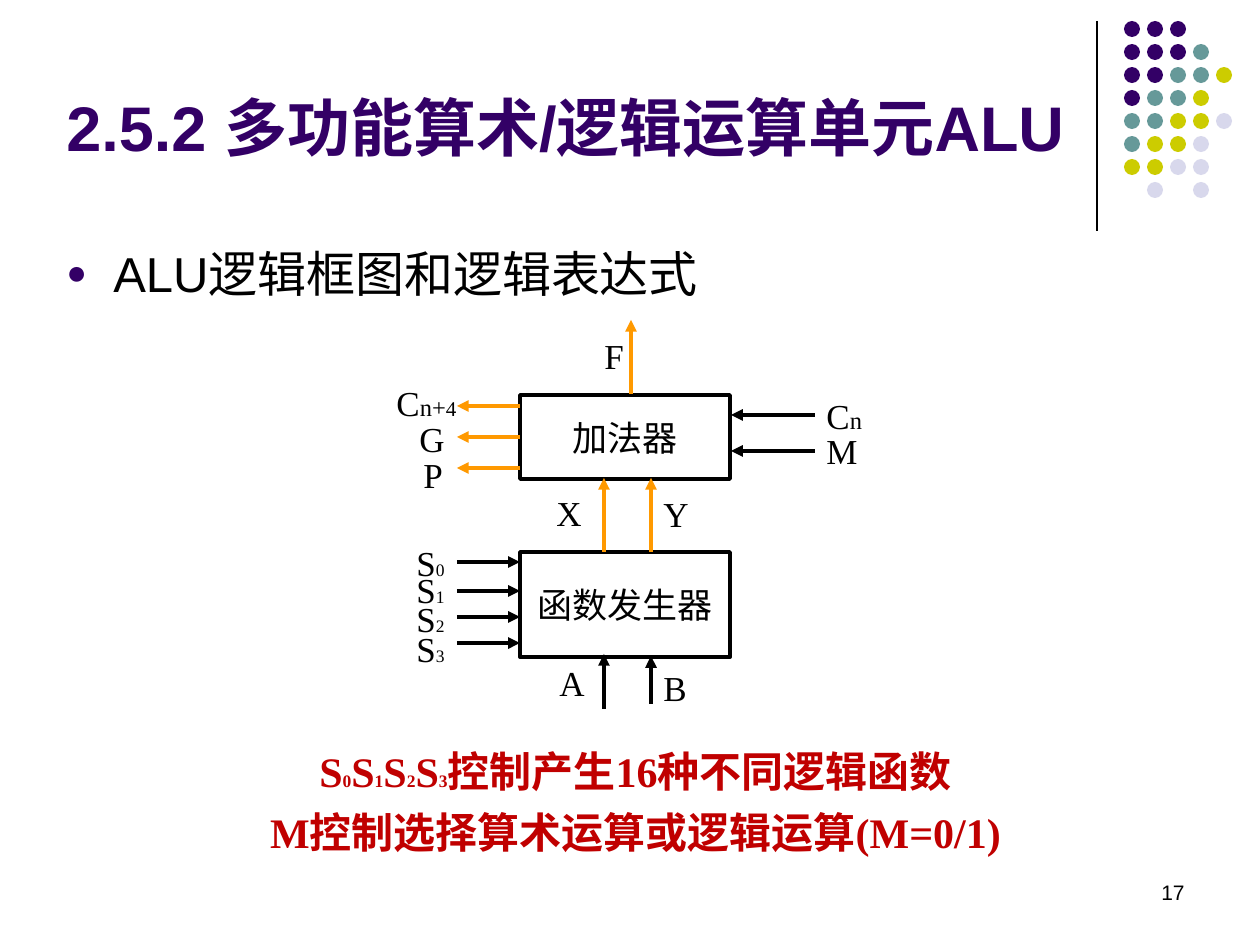
"""Build the slide on the block diagram and control signals of the multifunction ALU."""
from lxml.etree import SubElement
from pptx import Presentation
from pptx.dml.color import RGBColor
from pptx.enum.shapes import MSO_CONNECTOR, MSO_SHAPE
from pptx.enum.text import MSO_ANCHOR, PP_ALIGN
from pptx.oxml.ns import qn
from pptx.util import Emu, Pt

COLORS = {"black": "000000", "purple": "330066", "teal": "669999", "lime": "CCCC00",
          "lavender": "D8D8EC", "orange": "FF9900", "red": "C00000"}
DOT_COLORS = {"P": "purple", "T": "teal", "L": "lime", "V": "lavender"}
DOT_ROWS = ["PPP", "PPPT", "PPTTL", "PTTL", "TTLLV", "TLLV", "LLVV", " V V"]
ADDER_ROWS = [406, 437, 468]


def px(length):
    return Emu(round(length * 914400 / 126))


def rgb(color):
    return RGBColor.from_string(COLORS[color])


def add_bullet(paragraph, color, percent, indent):
    properties = paragraph._p.get_or_add_pPr()
    properties.set("marL", str(px(indent)))
    properties.set("indent", str(-px(indent)))
    bullet_color = SubElement(properties, qn("a:buClr"))
    SubElement(bullet_color, qn("a:srgbClr"), val=COLORS[color])
    SubElement(properties, qn("a:buSzPct"), val=str(percent * 1000))
    SubElement(properties, qn("a:buFont"), typeface="Arial")
    SubElement(properties, qn("a:buChar"), char="●")


def write(frame, text, *, size=20, font="Times New Roman", color="black", bold=False,
          align=PP_ALIGN.LEFT, anchor=MSO_ANCHOR.TOP, wrap=True, spacing=None,
          before=0, bullet=False):
    """Fill a frame with paragraphs; a paragraph is a string or (string, size) pairs."""
    frame.word_wrap = wrap
    frame.vertical_anchor = anchor
    for index, content in enumerate(text if isinstance(text, list) else [text]):
        paragraph = frame.paragraphs[0] if index == 0 else frame.add_paragraph()
        if bullet:
            add_bullet(paragraph, "purple", 70, 47)
        paragraph.alignment = align
        if spacing:
            paragraph.line_spacing = spacing
        if index and before:
            paragraph.space_before = Pt(before)
        pieces = [(content, size)] if isinstance(content, str) else content
        for words, points in pieces:
            run = paragraph.add_run()
            run.text = words
            run.font.name = font
            run.font.size = Pt(points)
            run.font.bold = bold
            run.font.color.rgb = rgb(color)


class SlideBuilder:
    """Hold the style and the current slide, and add each kind of element."""

    line_width = 2.25

    def __init__(self, slide):
        self.slide = slide

    def text(self, left, top, width, height, content, **style):
        box = self.slide.shapes.add_textbox(*map(px, (left, top, width, height)))
        write(box.text_frame, content, **style)

    def dot(self, left, top, size, color):
        dot = self.slide.shapes.add_shape(
            MSO_SHAPE.OVAL, *map(px, (left, top, size, size)))
        dot.shadow.inherit = False
        dot.fill.solid()
        dot.fill.fore_color.rgb = rgb(color)
        dot.line.fill.background()

    def block(self, left, top, width, height, label):
        block = self.slide.shapes.add_shape(
            MSO_SHAPE.RECTANGLE, *map(px, (left, top, width, height)))
        block.shadow.inherit = False
        block.fill.background()
        block.line.color.rgb = rgb("black")
        block.line.width = Pt(self.line_width)
        write(block.text_frame, label, align=PP_ALIGN.CENTER,
              anchor=MSO_ANCHOR.MIDDLE, wrap=False)
        return block

    def line(self, start, end, color="black", width=line_width, arrow=True):
        line = self.slide.shapes.add_connector(
            MSO_CONNECTOR.STRAIGHT, *map(px, (*start, *end)))
        line.line.color.rgb = rgb(color)
        line.line.width = Pt(width)
        if arrow:
            SubElement(line.line._get_or_add_ln(), qn("a:tailEnd"), type="triangle")
        SubElement(line._element.spPr, qn("a:effectLst"))
        return line


def add_decoration(builder):
    builder.line((1097, 21), (1097, 231), width=0.75, arrow=False)
    for row, marks in enumerate(DOT_ROWS):
        for column, mark in enumerate(marks):
            if mark in DOT_COLORS:
                builder.dot(1124 + 23 * column, 21 + 23 * row, 16, DOT_COLORS[mark])


def add_diagram(builder):
    adder = builder.block(520, 395, 210, 84, "加法器")
    builder.block(520, 552, 210, 105, "函数发生器")

    for x in (604, 651):
        builder.line((x, 552), (x, 478), "orange")
    builder.line((631, 394), (631, 320), "orange")
    for y in (415, 451):
        builder.line((815, y), (731, y))
    outputs = [builder.line((520, y), (457, y), "orange") for y in ADDER_ROWS]
    outputs[1].begin_connect(adder, 1)
    for y in (562, 591, 617, 643):
        builder.line((457, y), (520, y))
    builder.line((604, 709), (604, 654))
    builder.line((651, 704), (651, 656))

    labels = [
        ("F", 592, 328, 73), ("X", 544, 485, 53), ("Y", 651, 486, 50),
        ("M", 814, 423, 73), ("G", 407, 411, 63), ("P", 411, 447, 53),
        ("A", 547, 655, 47), ("B", 651, 660, 50),
        ([[("C", 20), ("n", 14)]], 814, 388, 73),
        ([[("C", 20), ("n+", 14), ("4", 12)]], 384, 375, 94),
    ]
    selects = [([[("S", 20), (str(index), 10)]], 404, top, 73)
               for index, top in enumerate((535, 562, 591, 621))]
    for label, left, top, width in labels + selects:
        builder.text(left, top, width, 55, label)


def main():
    presentation = Presentation()
    presentation.slide_width, presentation.slide_height = px(1260), px(945)
    builder = SlideBuilder(presentation.slides.add_slide(presentation.slide_layouts[6]))

    add_decoration(builder)
    builder.text(903, 861, 294, 63, "17", size=12, font="Arial",
                 align=PP_ALIGN.RIGHT, anchor=MSO_ANCHOR.MIDDLE)
    builder.text(54, 37, 1062, 179, "2.5.2 多功能算术/逻辑运算单元ALU", size=36,
                 font="Arial", color="purple", bold=True, anchor=MSO_ANCHOR.MIDDLE)
    builder.text(54, 237, 1134, 607, "ALU逻辑框图和逻辑表达式", size=28,
                 font="Arial", bullet=True)
    add_diagram(builder)

    select_names = [piece for index in range(4) for piece in (("S", 24), (str(index), 10))]
    builder.text(210, 753, 851, 110,
                 [select_names + [("控制产生16种不同逻辑函数", 24)],
                  "M控制选择算术运算或逻辑运算(M=0/1)"],
                 size=24, color="red", bold=True, align=PP_ALIGN.CENTER,
                 spacing=0.7, before=15)
    presentation.save("out.pptx")


if __name__ == "__main__":
    main()
